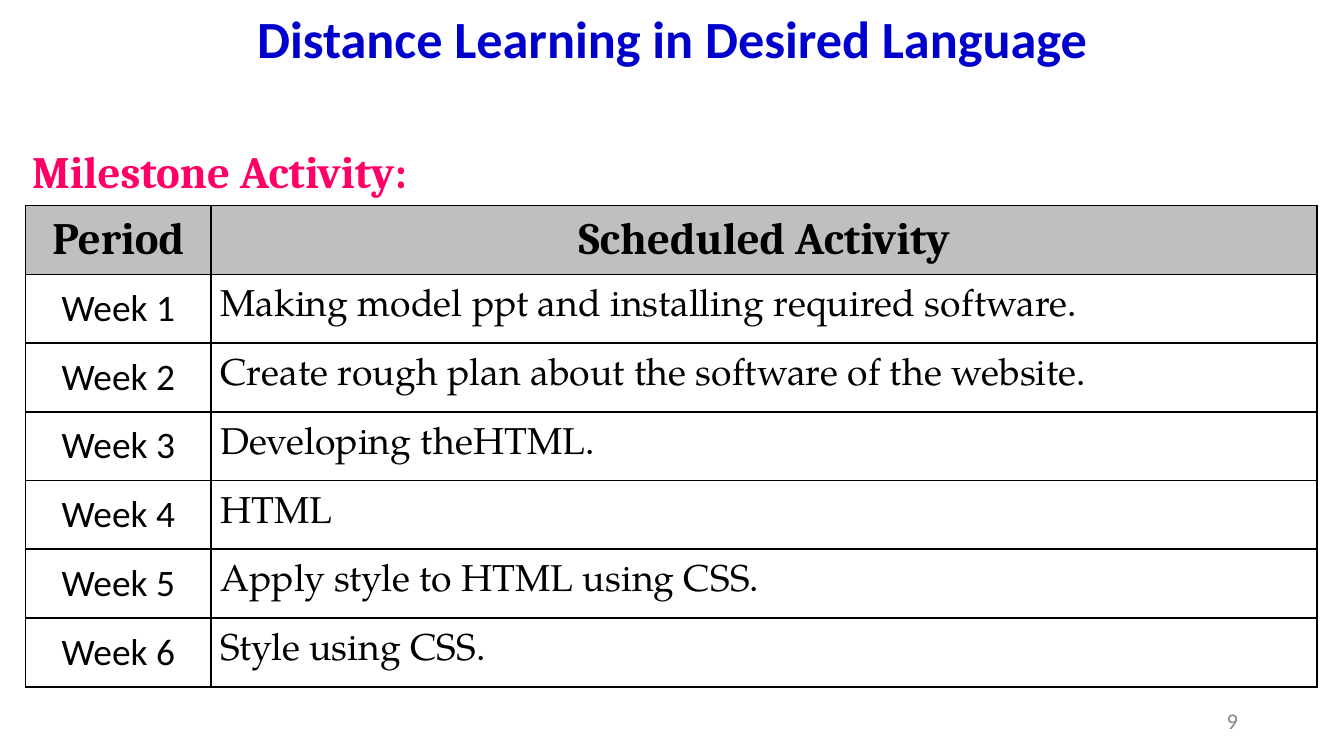
from lxml.etree import SubElement
from pptx import Presentation
from pptx.dml.color import RGBColor
from pptx.enum.text import MSO_ANCHOR as Anchor, PP_ALIGN as Align
from pptx.oxml.ns import qn
from pptx.util import Inches, Pt

# Widescreen slide, 16 to 9
WIDTH = Inches(10)
HEIGHT = WIDTH * 9 // 16

BLUE = RGBColor(0x00, 0x00, 0xCC)
PINK = RGBColor(0xFF, 0x00, 0x66)
GREY = RGBColor(0x89, 0x89, 0x89)
SILVER = RGBColor(0xBF, 0xBF, 0xBF)
BLACK = RGBColor(0, 0, 0)
WHITE = RGBColor(0xFF, 0xFF, 0xFF)

# Text formats
TITLE = dict(name="Calibri", size=Pt(28), bold=True, color=BLUE)
HEADING = dict(name="Cambria", size=Pt(24), bold=True, color=PINK)
NUMBER = dict(name="Calibri", size=Pt(12), bold=False, color=GREY)
HEADER = dict(HEADING, color=BLACK)
WEEK = dict(name="Calibri", size=Pt(20), bold=False, color=BLACK)
ACTIVITY = dict(WEEK, name="TeX Gyre Pagella")

# Table content and grid
HEADINGS = ("Period", "Scheduled Activity")
ACTIVITIES = (
    "Making model ppt and installing required software.",
    "Create rough plan about the software of the website.",
    "Developing theHTML.",
    "HTML",
    "Apply style to HTML using CSS.",
    "Style using CSS.",
)
COLUMNS = (Inches(1.38), Inches(8.23))
ROWS = len(ACTIVITIES) + 1
ROW = Inches(3.58) // ROWS


def write(frame, text, style, align):
    paragraph = frame.paragraphs[0]
    paragraph.alignment = align
    run = paragraph.add_run()
    run.text = text
    for key, value in style.items():
        if key == "color":
            run.font.color.rgb = value
        else:
            setattr(run.font, key, value)


def add_text(slide, box, text, style, align=Align.LEFT, anchor=Anchor.TOP):
    """Box holds left, top, width and height in percent of the slide."""
    left, top, width, height = box
    frame = slide.shapes.add_textbox(
        int(left * WIDTH / 100), int(top * HEIGHT / 100),
        int(width * WIDTH / 100), int(height * HEIGHT / 100)).text_frame
    frame.word_wrap = True
    frame.vertical_anchor = anchor
    write(frame, text, style, align)


def add_borders(cell):
    properties = cell._tc.get_or_add_tcPr()
    for position, side in enumerate(("lnL", "lnR", "lnT", "lnB")):
        line = SubElement(properties, qn(f"a:{side}"), w=str(Pt(1)))
        fill = SubElement(line, qn("a:solidFill"))
        SubElement(fill, qn("a:srgbClr"), val=str(BLACK))
        properties.insert(position, line)


def fill_cell(cell, text, style, align, fill, margins):
    side, end = margins
    cell.margin_left = cell.margin_right = Inches(side)
    cell.margin_top = cell.margin_bottom = Inches(end)
    cell.vertical_anchor = Anchor.MIDDLE
    cell.fill.solid()
    cell.fill.fore_color.rgb = fill
    add_borders(cell)
    write(cell.text_frame, text, style, align)


def add_schedule(slide):
    schedule = slide.shapes.add_table(
        ROWS, len(COLUMNS), Inches(0.19), Inches(1.53),
        sum(COLUMNS), ROW * ROWS).table
    for column, width in zip(schedule.columns, COLUMNS):
        column.width = width
    for row in schedule.rows:
        row.height = ROW

    # Header row
    for index, heading in enumerate(HEADINGS):
        fill_cell(schedule.cell(0, index), heading, HEADER, Align.CENTER,
                  SILVER, (0.1, 0.05))

    # One row a week
    for week, activity in enumerate(ACTIVITIES, 1):
        fill_cell(schedule.cell(week, 0), f"Week {week}", WEEK, Align.CENTER,
                  WHITE, (0.07, 0))
        fill_cell(schedule.cell(week, 1), activity, ACTIVITY, Align.LEFT,
                  WHITE, (0.07, 0))


def main():
    deck = Presentation()
    deck.slide_width, deck.slide_height = WIDTH, HEIGHT
    slide = deck.slides.add_slide(deck.slide_layouts[6])

    add_text(slide, (1.4, 18.2, 100, 9), "Milestone Activity:", HEADING)
    add_text(slide, (70.6, 92.7, 22.5, 5.3), "9", NUMBER,
             Align.RIGHT, Anchor.MIDDLE)
    add_schedule(slide)
    add_text(slide, (0, 0, 100, 16.7), "Distance Learning in Desired Language",
             TITLE, Align.CENTER)
    deck.save("out.pptx")


main()
